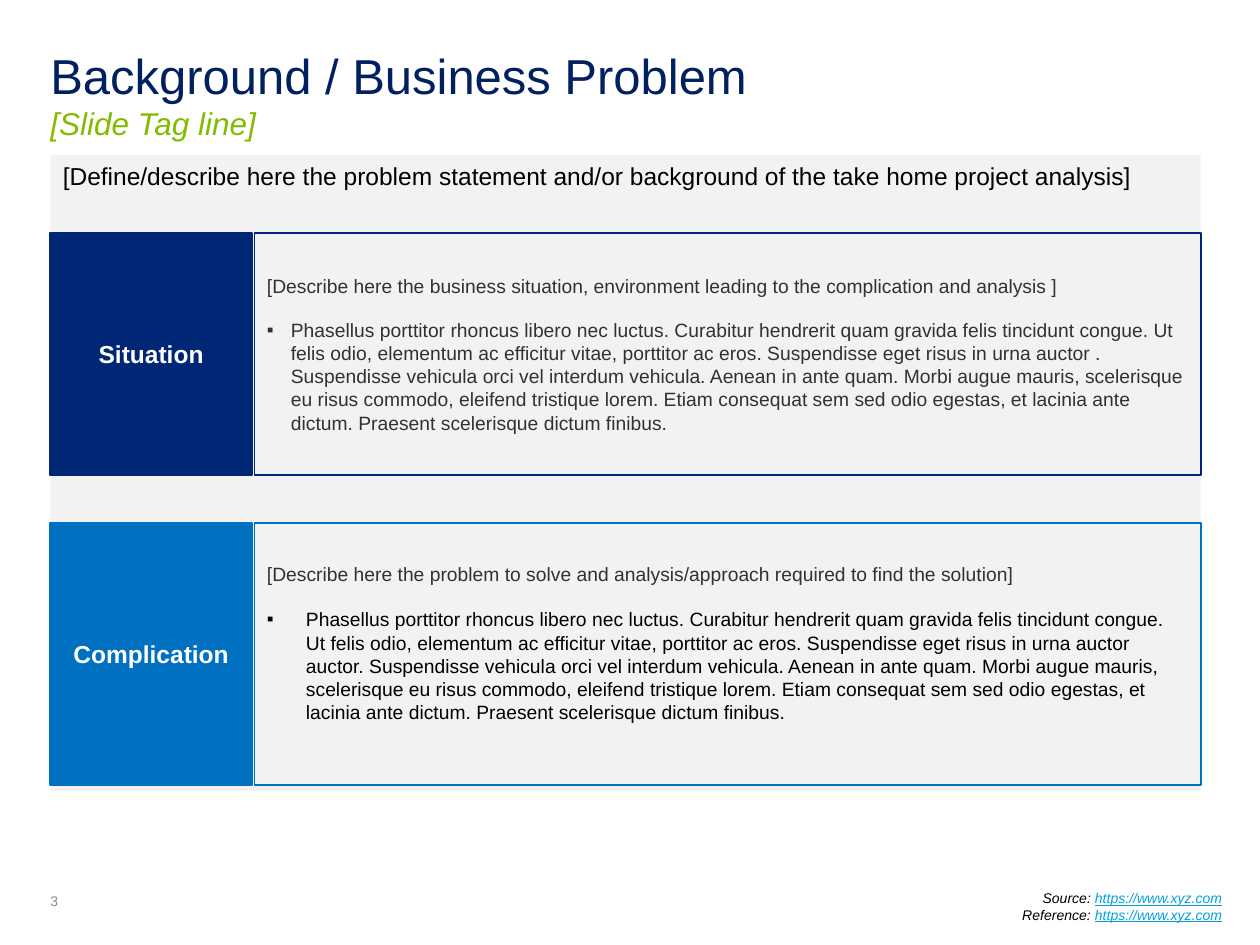
from lxml import etree
from pptx import Presentation
from pptx.dml.color import RGBColor
from pptx.enum.shapes import MSO_SHAPE
from pptx.enum.text import MSO_ANCHOR, MSO_AUTO_SIZE, PP_ALIGN
from pptx.oxml.ns import qn
from pptx.util import Inches, Pt

RECTANGLE = MSO_SHAPE.RECTANGLE
TOP, MIDDLE, BOTTOM = MSO_ANCHOR.TOP, MSO_ANCHOR.MIDDLE, MSO_ANCHOR.BOTTOM
LEFT, CENTER, RIGHT = PP_ALIGN.LEFT, PP_ALIGN.CENTER, PP_ALIGN.RIGHT
NO_FIT = MSO_AUTO_SIZE.NONE

FONT = "Arial"
TITLE_NAVY = RGBColor(0x00, 0x20, 0x60)
NAVY = RGBColor(0x00, 0x27, 0x76)
BLUE = RGBColor(0x00, 0x70, 0xC0)
GREEN = RGBColor(0x81, 0xBC, 0x00)
LINK = RGBColor(0x00, 0xA1, 0xDE)
PANEL = RGBColor(0xF2, 0xF2, 0xF2)
DARK = RGBColor(0x31, 0x31, 0x31)
GRAY = RGBColor(0x8C, 0x8C, 0x8C)
BLACK = RGBColor(0, 0, 0)
WHITE = RGBColor(0xFF, 0xFF, 0xFF)

MARGIN = 0.4
LABEL_WIDTH = 1.6
BODY_OFFSET = 1.62

LOREM = (
    "Phasellus porttitor rhoncus libero nec luctus. Curabitur hendrerit quam gravida "
    "felis tincidunt congue. Ut felis odio, elementum ac efficitur vitae, porttitor ac "
    "eros. Suspendisse eget risus in urna auctor {}. Suspendisse vehicula orci vel "
    "interdum vehicula. Aenean in ante quam. Morbi augue mauris, scelerisque eu risus "
    "commodo, eleifend tristique lorem. Etiam consequat sem sed odio egestas, et lacinia "
    "ante dictum. Praesent scelerisque dictum finibus."
)


def style(para, size, color, bold=False, italic=False, align=LEFT):
    para.alignment = align
    font = para.font
    font.name, font.size, font.bold, font.italic = FONT, Pt(size), bold, italic
    font.color.rgb = color


def set_bullet(para, indent):
    properties = para._p.get_or_add_pPr()
    properties.set("marL", str(Inches(indent)))
    properties.set("indent", str(-Inches(indent)))
    etree.SubElement(properties, qn("a:buFont"), typeface=FONT)
    etree.SubElement(properties, qn("a:buChar"), char="▪")


def add_rectangle(page, left, top, width, height, fill=None, line=None, anchor=MIDDLE):
    box = page.shapes.add_shape(
        RECTANGLE, Inches(left), Inches(top), Inches(width), Inches(height))
    box.shadow.inherit = False
    if fill is None:
        box.fill.background()
    else:
        box.fill.solid()
        box.fill.fore_color.rgb = fill
    if line is None:
        box.line.fill.background()
    else:
        box.line.color.rgb = line
        box.line.width = Pt(1)
    box.text_frame.word_wrap = True
    box.text_frame.vertical_anchor = anchor
    return box


def add_title(page, left, top, width, height):
    title = page.shapes.title
    title.left, title.top = Inches(left), Inches(top)
    title.width, title.height = Inches(width), Inches(height)
    frame = title.text_frame
    frame.auto_size, frame.vertical_anchor = NO_FIT, TOP
    frame.margin_left = frame.margin_right = frame.margin_bottom = 0
    frame.margin_top = Inches(0.04)
    para = frame.paragraphs[0]
    style(para, 28, TITLE_NAVY)
    para.add_run().text = "Background / Business Problem"
    para.add_line_break()
    tag = para.add_run()
    tag.text = "[Slide Tag line]"
    tag.font.size, tag.font.italic = Pt(18), True
    tag.font.color.rgb = GREEN


def add_panel(page, left, top, width, height):
    panel = add_rectangle(page, left, top, width, height, fill=PANEL, anchor=TOP)
    para = panel.text_frame.paragraphs[0]
    para.text = ("[Define/describe here the problem statement and/or background "
                 "of the take home project analysis]")
    style(para, 14, BLACK)


def add_section(page, left, top, width, height, color, name, prompt, detail,
                detail_color, indent, gap, bottom_inset):
    # Coloured label
    label = add_rectangle(page, left, top, LABEL_WIDTH, height, fill=color, line=color)
    para = label.text_frame.paragraphs[0]
    para.text = name
    style(para, 14, WHITE, bold=True, align=CENTER)

    # Outlined description
    body = add_rectangle(page, left + BODY_OFFSET, top, width - BODY_OFFSET, height,
                         line=color)
    frame = body.text_frame
    frame.margin_bottom = Inches(bottom_inset)
    para = frame.paragraphs[0]
    para.text = prompt
    style(para, 11, DARK)
    para = frame.add_paragraph()
    para.text = detail
    set_bullet(para, indent)
    para.space_before = Pt(gap)
    style(para, 11, detail_color)


def add_sources(page, left, top, width, height):
    box = page.shapes.add_textbox(
        Inches(left), Inches(top), Inches(width), Inches(height))
    frame = box.text_frame
    frame.word_wrap = True
    for index, name in enumerate(("Source: ", "Reference: ")):
        para = frame.add_paragraph() if index else frame.paragraphs[0]
        style(para, 8, BLACK, italic=True, align=RIGHT)
        para.add_run().text = name
        address = para.add_run()
        address.text = "https://www.xyz.com"
        address.font.underline = True
        address.font.color.rgb = LINK


def add_page_number(page, left, top, width, height):
    box = page.shapes.add_textbox(
        Inches(left), Inches(top), Inches(width), Inches(height))
    frame = box.text_frame
    frame.word_wrap, frame.vertical_anchor = True, BOTTOM
    frame.margin_left = frame.margin_right = frame.margin_top = frame.margin_bottom = 0
    para = frame.paragraphs[0]
    para.text = "3"
    style(para, 8, GRAY)


def main():
    deck = Presentation()
    deck.slide_width, deck.slide_height = Inches(10), Inches(7.5)
    page = deck.slides.add_slide(deck.slide_layouts[5])

    add_page_number(page, MARGIN, 7.09, 0.5, 0.13)
    add_title(page, MARGIN, 0.32, 9.2, 0.51)
    add_panel(page, MARGIN, 1.23, 9.13, 5.05)
    add_section(
        page, MARGIN, 1.85, 9.13, 1.92, NAVY, "Situation",
        "[Describe here the business situation, environment leading to the "
        "complication and analysis ]",
        LOREM.format(""), DARK, indent=0.19, gap=12, bottom_inset=0.05)
    add_section(
        page, MARGIN, 4.15, 9.13, 2.08, BLUE, "Complication",
        "[Describe here the problem to solve and analysis/approach required to "
        "find the solution]",
        LOREM.format("auctor"), BLACK, indent=0.31, gap=13, bottom_inset=0.23)
    add_sources(page, 5.76, 7.01, 4.04, 0.5)

    deck.save("out.pptx")


if __name__ == "__main__":
    main()
